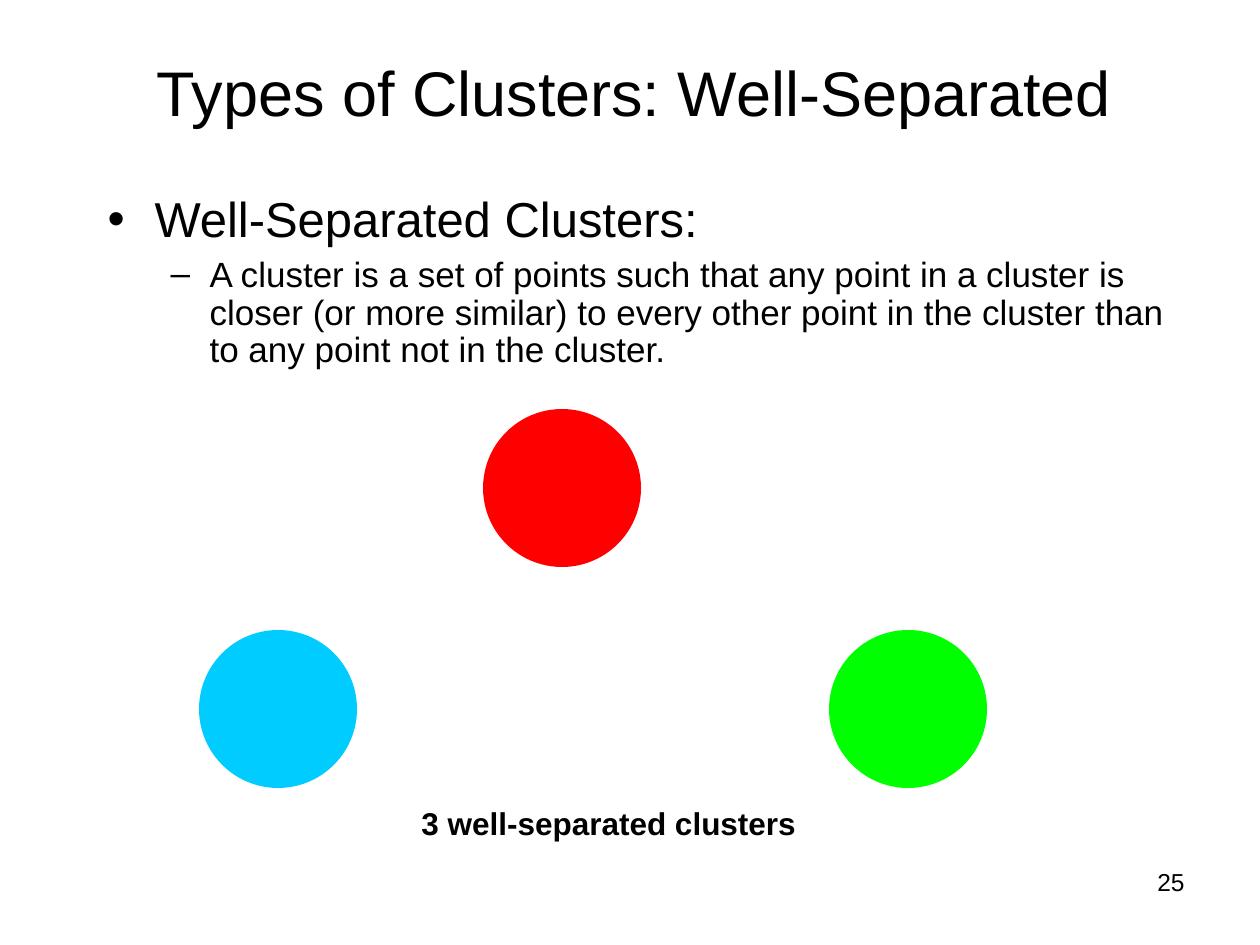
from dataclasses import dataclass

from lxml import etree
from pptx import Presentation
from pptx import util as u
from pptx.dml.color import RGBColor
from pptx.enum import shapes, text
from pptx.oxml.ns import qn

PX_PER_INCH = 126
FONT = "Arial"
BLACK = RGBColor(0x00, 0x00, 0x00)
BLUE = RGBColor(0x00, 0xCC, 0xFF)
GREEN = RGBColor(0x00, 0xFF, 0x00)
RED = RGBColor(0xFF, 0x00, 0x00)
CLUSTER_SIZE = 158


@dataclass(frozen=True)
class Cluster:
    left: int
    top: int
    color: RGBColor


@dataclass(frozen=True)
class Bullet:
    words: str
    level: int
    mark: str
    size: int
    indent: int
    hanging: int
    space_before: int


CLUSTERS = [
    Cluster(199, 630, BLUE),
    Cluster(829, 630, GREEN),
    Cluster(483, 409, RED),
]
BULLETS = [
    Bullet("Well-Separated Clusters:", 0, "•", 28, 47, 47, 0),
    Bullet(
        "A cluster is a set of points such that any point in a cluster is "
        "closer (or more similar) to every other point in the cluster than "
        "to any point not in the cluster.",
        1, "–", 20, 102, 39, 5,
    ),
]


def px(length: int) -> u.Emu:
    return u.Emu(round(length * u.Inches(1) / PX_PER_INCH))


def place(shape, left: int, top: int, width: int, height: int) -> None:
    shape.left, shape.top = px(left), px(top)
    shape.width, shape.height = px(width), px(height)


def style(paragraph, size: int, bold: bool = False) -> None:
    for run in paragraph.runs:
        run.font.name = FONT
        run.font.size = u.Pt(size)
        run.font.bold = bold
        run.font.color.rgb = BLACK


def add_title(slide, words: str) -> None:
    title = slide.shapes.title
    place(title, 63, 53, 1142, 76)
    frame = title.text_frame
    frame.text = words
    frame.auto_size = text.MSO_AUTO_SIZE.NONE
    frame.vertical_anchor = text.MSO_ANCHOR.MIDDLE
    frame.paragraphs[0].alignment = text.PP_ALIGN.CENTER
    style(frame.paragraphs[0], 36)


def format_bullet(paragraph, bullet: Bullet) -> None:
    paragraph.text = bullet.words
    paragraph.level = bullet.level
    properties = paragraph._p.get_or_add_pPr()
    properties.set("marL", str(px(bullet.indent)))
    properties.set("indent", str(-px(bullet.hanging)))
    etree.SubElement(properties, qn("a:buChar")).set("char", bullet.mark)
    paragraph.line_spacing = 0.9
    paragraph.space_before = u.Pt(bullet.space_before)
    style(paragraph, bullet.size)


def add_body(slide, bullets: list[Bullet]) -> None:
    body = slide.placeholders[1]
    place(body, 95, 189, 1091, 615)
    frame = body.text_frame
    frame.auto_size = text.MSO_AUTO_SIZE.NONE
    for index, bullet in enumerate(bullets):
        paragraph = frame.add_paragraph() if index else frame.paragraphs[0]
        format_bullet(paragraph, bullet)


def add_cluster(slide, cluster: Cluster) -> None:
    circle = slide.shapes.add_shape(
        shapes.MSO_SHAPE.OVAL, px(cluster.left), px(cluster.top),
        px(CLUSTER_SIZE), px(CLUSTER_SIZE),
    )
    circle.shadow.inherit = False
    circle.fill.solid()
    circle.fill.fore_color.rgb = cluster.color
    circle.line.fill.background()


def add_label(slide, words: str, box: tuple[int, int, int, int], size: int,
              alignment: text.PP_ALIGN, bold: bool = False) -> None:
    label = slide.shapes.add_textbox(*map(px, box))
    frame = label.text_frame
    frame.word_wrap = True
    frame.text = words
    frame.paragraphs[0].alignment = alignment
    style(frame.paragraphs[0], size, bold)


def main() -> None:
    presentation = Presentation()
    presentation.slide_width = u.Inches(10)
    presentation.slide_height = u.Inches(7.5)
    slide = presentation.slides.add_slide(presentation.slide_layouts[1])
    add_title(slide, "Types of Clusters: Well-Separated")
    add_body(slide, BULLETS)
    for cluster in CLUSTERS:
        add_cluster(slide, cluster)
    add_label(slide, "3 well-separated clusters", (409, 798, 441, 50), 18,
              text.PP_ALIGN.LEFT, bold=True)
    add_label(slide, "25", (903, 861, 294, 66), 14, text.PP_ALIGN.RIGHT)
    presentation.save("out.pptx")


if __name__ == "__main__":
    main()
